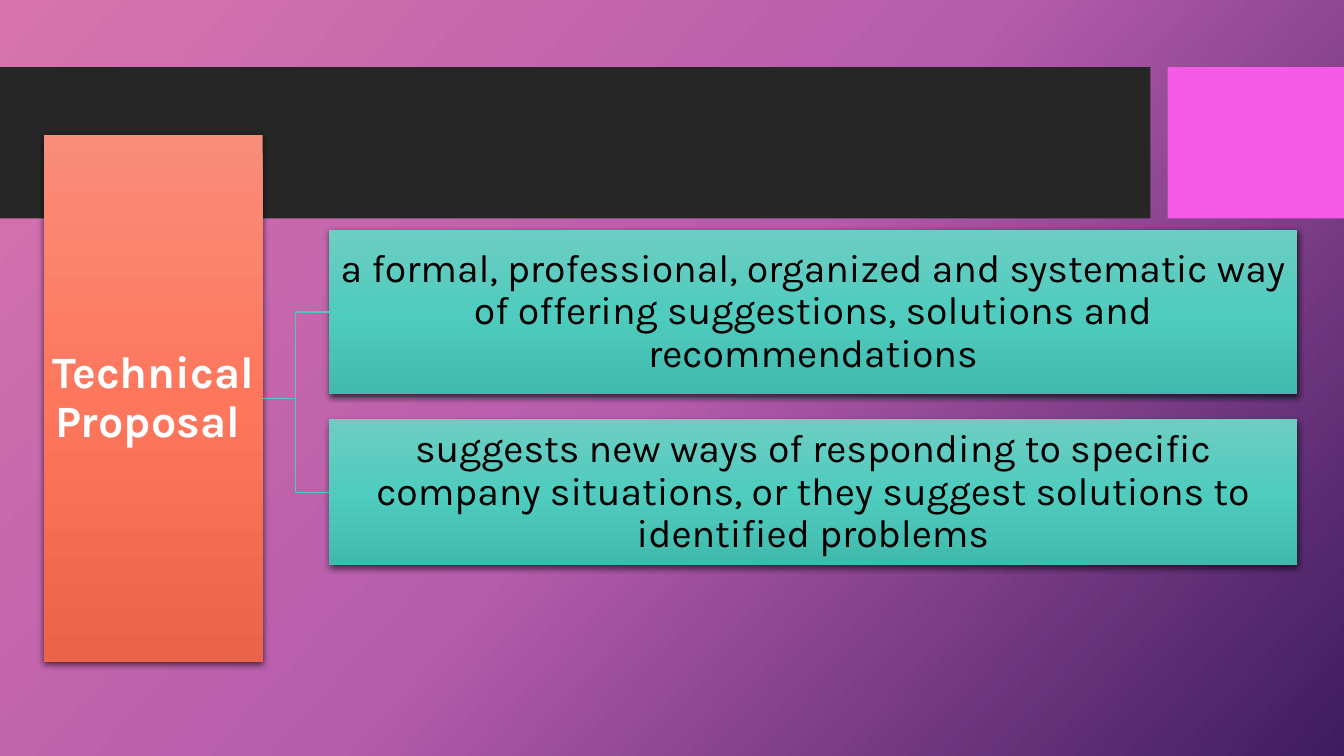
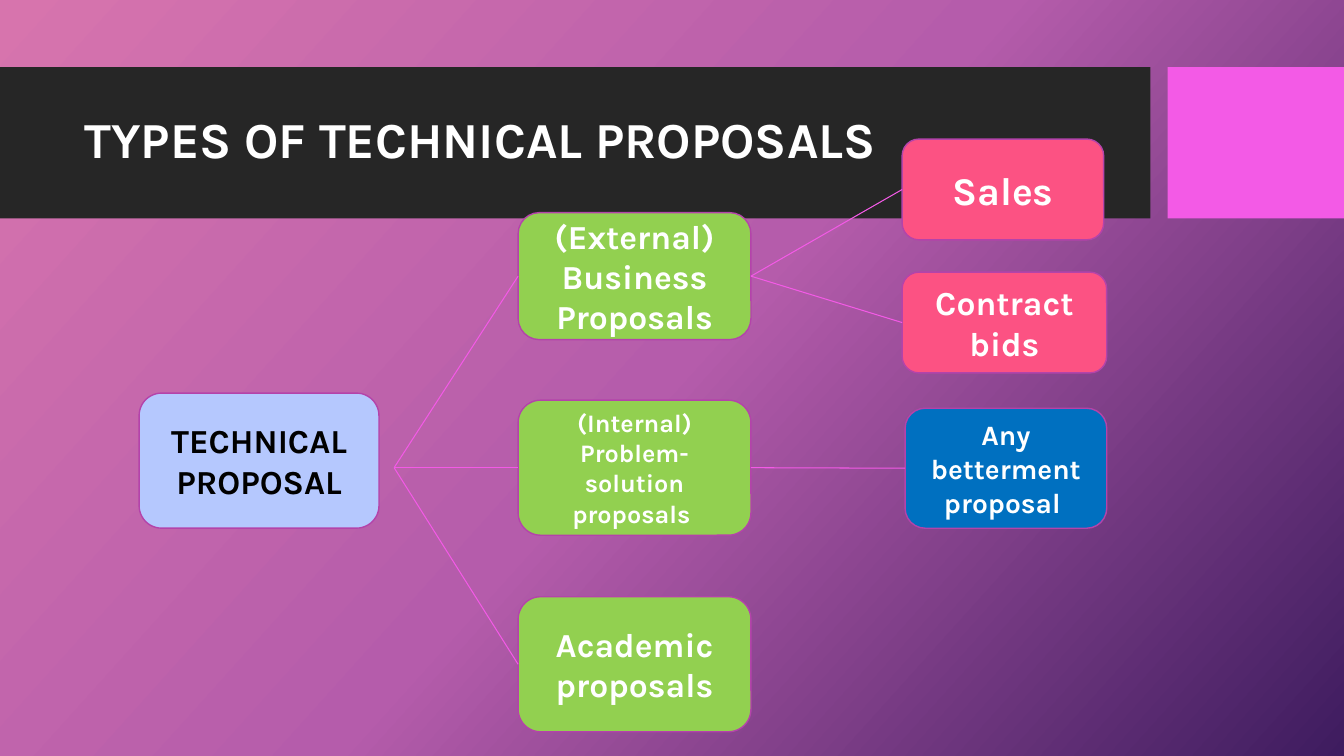
from copy import deepcopy
from dataclasses import dataclass

from lxml.etree import SubElement
from pptx import Presentation
from pptx.dml.color import RGBColor
from pptx.enum.shapes import MSO_CONNECTOR, MSO_SHAPE
from pptx.enum.text import MSO_ANCHOR, PP_ALIGN
from pptx.oxml.ns import qn
from pptx.util import Emu, Inches, Pt

COLS, ROWS = 40, 22.5
CELL = Inches(1) // 3
LEFT_SIDE, RIGHT_SIDE = 1, 3


@dataclass(frozen=True)
class Theme:
    font: str = "Karla"
    backdrop: tuple = ("D774AD", "B55CAB", "3E1C5F")
    coral: tuple = ("F98D7B", "FD775D", "EA644A")
    teal: tuple = ("6ECDC2", "4FCCBE", "41BAAD")
    band: str = "262626"
    magenta: str = "F35AE6"
    bracket: str = "55C6BA"
    outline: str = "B443AA"
    periwinkle: str = "B5C8FE"
    green: str = "92D050"
    pink: str = "FC5283"
    blue: str = "0070C0"
    white: str = "FFFFFF"
    black: str = "000000"
    title: int = 36
    heading: int = 32
    large: int = 28
    medium: int = 24
    small: int = 20
    tiny: int = 18


def grid(*lengths):
    return [Emu(round(n * CELL)) for n in lengths]


def gradient(fill, element, colors, angle):
    """Fill with three evenly spaced colours; angle runs clockwise."""
    fill.gradient()
    stops = next(element.iter(qn("a:gsLst")))
    stops.append(deepcopy(stops[-1]))
    for i, (stop, color) in enumerate(zip(fill.gradient_stops, colors)):
        stop.color.rgb = RGBColor.from_string(color)
        stop.position = i / 2
    fill.gradient_angle = 360 - angle


def drop_shadow(shape, color):
    effects = shape.element.spPr.find(qn("a:effectLst"))
    shadow = SubElement(effects, qn("a:outerShdw"), blurRad=str(Pt(4.5)),
                        dist=str(Pt(1.5)), dir="5400000", rotWithShape="0")
    tint = SubElement(shadow, qn("a:srgbClr"), val=color)
    SubElement(tint, qn("a:alpha"), val="63000")


class Deck:
    def __init__(self, theme):
        self.theme = theme
        self.prs = Presentation()
        self.prs.slide_width, self.prs.slide_height = grid(COLS, ROWS)

    def new_slide(self):
        t = self.theme
        self.s = self.prs.slides.add_slide(self.prs.slide_layouts[6])
        gradient(self.s.background.fill, self.s.element, t.backdrop, 42)
        self.box((0, 2, 34.24, 4.5), t.band)
        self.box((34.75, 2, COLS - 34.75, 4.5), t.magenta)

    def box(self, at, fill, kind=MSO_SHAPE.RECTANGLE):
        sp = self.s.shapes.add_shape(kind, *grid(*at))
        sp.shadow.inherit = False
        sp.line.fill.background()
        if isinstance(fill, tuple):
            gradient(sp.fill, sp.element, fill, 90)
        else:
            sp.fill.solid()
            sp.fill.fore_color.rgb = RGBColor.from_string(fill)
        return sp

    def add_text(self, sp, paragraphs, size, color, bold=True,
                 align=PP_ALIGN.CENTER, spacing=1.0):
        tf = sp.text_frame
        tf.word_wrap = True
        tf.vertical_anchor = MSO_ANCHOR.MIDDLE
        for i, text in enumerate(paragraphs):
            p = tf.add_paragraph() if i else tf.paragraphs[0]
            p.alignment = align
            p.line_spacing = spacing
            r = p.add_run()
            r.text = text
            r.font.name, r.font.size, r.font.bold = self.theme.font, Pt(size), bold
            r.font.color.rgb = RGBColor.from_string(color)

    def title(self, text):
        sp = self.s.shapes.add_textbox(*grid(2.22, 2.46, 31.53, 3.54))
        self.add_text(sp, [text], self.theme.title, self.theme.white,
                      align=PP_ALIGN.LEFT, spacing=0.9)

    def panel(self, at, fill, text, size, color, bold=False):
        """Gradient rectangle with a soft shadow and tight margins."""
        sp = self.box(at, fill)
        drop_shadow(sp, self.theme.black)
        tf = sp.text_frame
        tf.margin_left = tf.margin_right = Inches(0.02)
        tf.margin_top = tf.margin_bottom = Inches(0.02)
        self.add_text(sp, [text], size, color, bold, spacing=0.9)
        return sp

    def node(self, at, fill, paragraphs, size, color=None):
        """Outlined rounded box of a tree."""
        sp = self.box(at, fill, MSO_SHAPE.ROUNDED_RECTANGLE)
        sp.line.color.rgb = RGBColor.from_string(self.theme.outline)
        sp.line.width = Pt(1)
        self.add_text(sp, paragraphs, size, color or self.theme.white)
        return sp

    def link(self, start, end, color, width, kind=MSO_CONNECTOR.STRAIGHT):
        """Join start, a shape or a grid point, to the left side of end."""
        is_point = isinstance(start, tuple)
        x, y = grid(*start) if is_point else (0, 0)
        line = self.s.shapes.add_connector(kind, x, y, x, y)
        if not is_point:
            line.begin_connect(start, RIGHT_SIDE)
        line.end_connect(end, LEFT_SIDE)
        line.line.color.rgb = RGBColor.from_string(color)
        line.line.width = Pt(width)
        SubElement(line.element.spPr, qn("a:effectLst"))


def definition_slide(deck):
    t = deck.theme
    deck.new_slide()
    term = deck.panel((1.31, 4.02, 6.51, 15.69), t.coral, "Technical Proposal ",
                      t.heading, t.white, bold=True)
    meanings = [
        (6.84, 4.89, "a formal, professional, organized and systematic way of "
                     "offering suggestions, solutions and recommendations"),
        (12.48, 4.35, "suggests new ways of responding to specific company situations, "
                      "or they suggest solutions to identified problems"),
    ]
    for top, height, text in meanings:
        meaning = deck.panel((9.78, top, 28.83, height), t.teal, text, t.large, t.black)
        deck.link(term, meaning, t.bracket, 1, MSO_CONNECTOR.ELBOW)


def types_slide(deck):
    t = deck.theme
    deck.new_slide()
    deck.title("TYPES OF TECHNICAL PROPOSALS")
    deck.node((4.14, 11.7, 7.14, 4.02), t.periwinkle, ["TECHNICAL PROPOSAL"],
              t.medium, t.black)
    external, internal, academic = [
        deck.node((15.42, top, 6.93, height), t.green, paragraphs, size)
        for top, height, paragraphs, size in [
            (6.33, 3.78, ["(External)", "Business Proposals"], t.medium),
            (11.91, 4.02, ["(Internal)", "Problem-solution proposals "], t.tiny),
            (17.76, 4.02, ["Academic proposals"], t.medium),
        ]
    ]
    sales = deck.node((26.85, 4.14, 6, 3), t.pink, ["Sales"], t.large)
    bids = deck.node((26.85, 8.1, 6.09, 3), t.pink, ["Contract bids"], t.medium)
    betterment = deck.node((26.94, 12.15, 6, 3.57), t.blue,
                           ["Any betterment proposal "], t.small)
    hub = (11.73, 13.92)
    for start, end in [(hub, external), (hub, internal), (hub, academic),
                       (external, sales), (external, bids), (internal, betterment)]:
        deck.link(start, end, t.magenta, 0.75)


def main():
    deck = Deck(Theme())
    definition_slide(deck)
    types_slide(deck)
    deck.prs.save("out.pptx")


if __name__ == "__main__":
    main()
